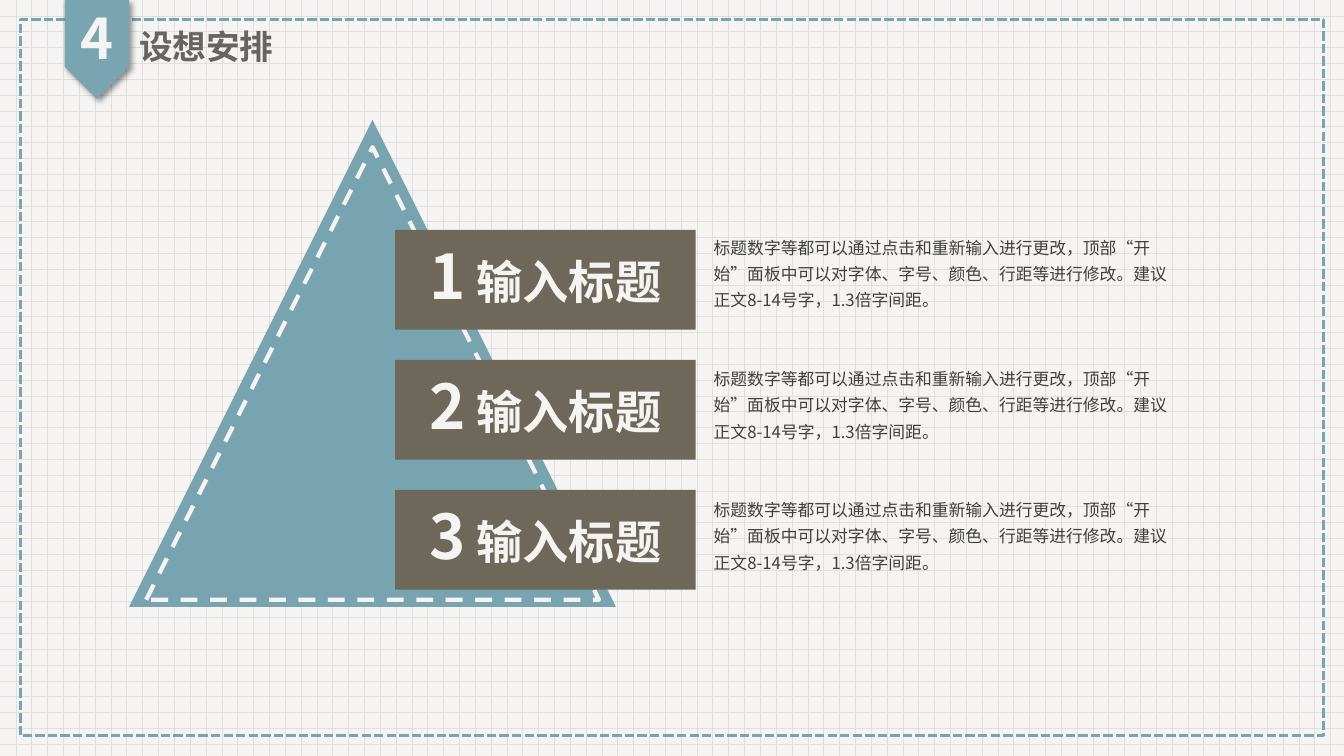
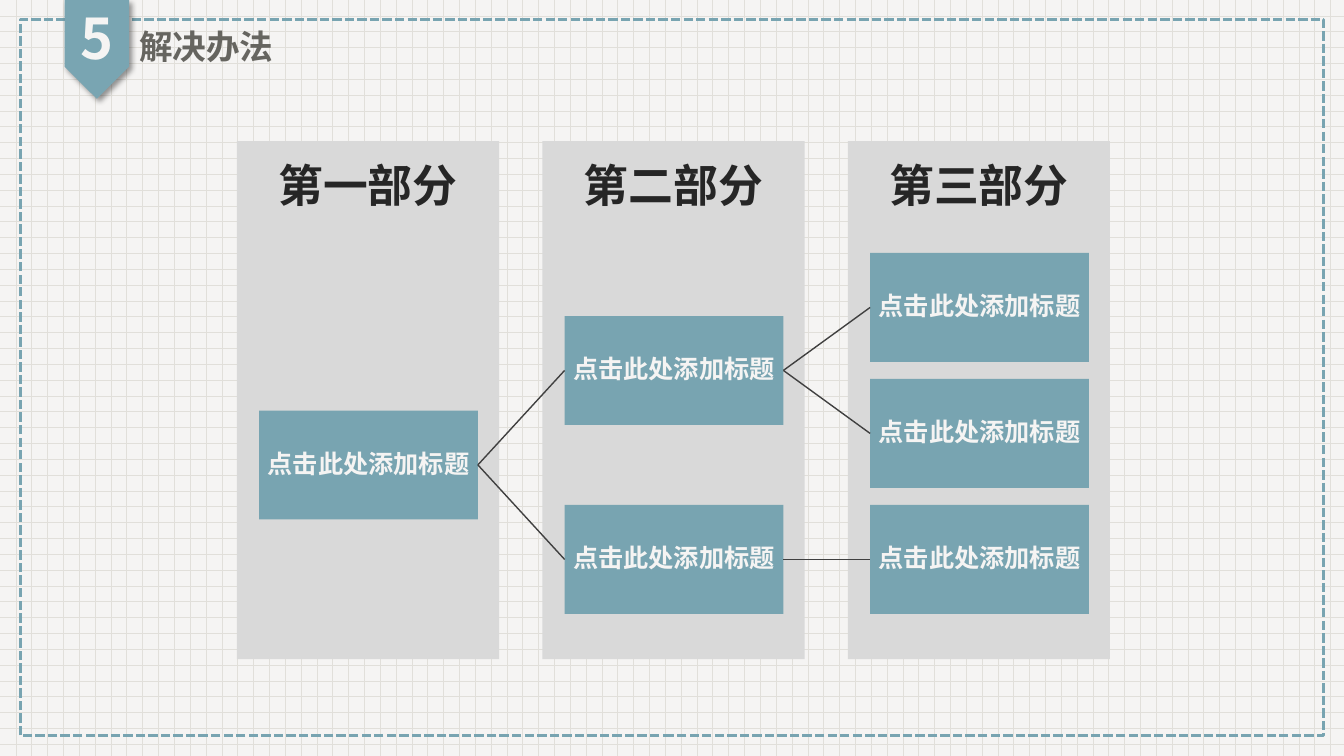
from dataclasses import dataclass
from typing import NamedTuple

from lxml import etree
from pptx import Presentation
from pptx.dml.color import RGBColor
from pptx.enum import dml, shapes, text
from pptx.oxml import ns
from pptx import util as u

FONT = "Noto Sans CJK SC"
PAPER = RGBColor(0xF5, 0xF4, 0xF3)
GRID = RGBColor(0xE1, 0xDF, 0xDA)
TEAL = RGBColor(0x78, 0xA4, 0xB1)
RIBBON = RGBColor(0x79, 0xA5, 0xB2)
BROWN = RGBColor(0x6E, 0x68, 0x5A)
PANEL = RGBColor(0xD9, 0xD9, 0xD9)
TITLE = RGBColor(0x66, 0x65, 0x60)
DARK = RGBColor(0x40, 0x40, 0x40)
HEADING = RGBColor(0x26, 0x26, 0x26)

KIND = shapes.MSO_SHAPE
ALIGN = text.PP_ALIGN
ANCHOR = text.MSO_ANCHOR
DASH = dml.MSO_LINE

CARD_COUNT = 3
CARD_NOTE = ("标题数字等都可以通过点击和重新输入进行更改，顶部“开始”面板中可以对字体、字号、"
             "颜色、行距等进行修改。建议正文8-14号字，1.3倍字间距。")
PARTS = ("第一部分", "第二部分", "第三部分")
PART_LEFT, PART_PITCH = 2.35, 3.03
STEP_LABEL = "点击此处添加标题"
STEP_INDENT, STEP_TOP, STEP_PITCH = 0.22, 2.51, 1.25


class Frame(NamedTuple):
    left: float
    top: float
    width: float
    height: float

    def lengths(self) -> tuple:
        return tuple(u.Inches(value) for value in self)


class Run(NamedTuple):
    words: str
    size: float


@dataclass(frozen=True)
class Outline:
    color: RGBColor
    width: float
    dash: DASH


@dataclass(frozen=True)
class Step:
    """A box of the tree with the boxes that follow from it."""
    children: tuple = ()


@dataclass(frozen=True)
class Placed:
    shape: object
    top: float


STEPS = Step((Step((Step(), Step())), Step((Step(),))))


def write(shape, *runs: Run, color, bold=True, align=ALIGN.CENTER, anchor=ANCHOR.MIDDLE,
          spacing=0.9, before=0, inset=None, wrap=True) -> None:
    """Fill a shape with one paragraph; runs share everything but their size."""
    box = shape.text_frame
    box.word_wrap = wrap
    box.vertical_anchor = anchor
    if inset is not None:
        box.margin_left = box.margin_right = u.Inches(inset)
        box.margin_top = box.margin_bottom = u.Inches(inset)
    para = box.paragraphs[0]
    para.alignment = align
    para.line_spacing = spacing
    para.space_before = u.Pt(before)
    for run in runs:
        span = para.add_run()
        span.text = run.words
        span.font.size = u.Pt(run.size)
        span.font.bold = bold
        span.font.color.rgb = color
        span.font.name = FONT
        east_asian = etree.SubElement(span._r.get_or_add_rPr(), ns.qn("a:ea"))
        east_asian.set("typeface", FONT)


def add_shape(parent, kind: KIND, frame: Frame, fill=None, outline: Outline | None = None):
    """Draw a preset shape on a page or in a group, without a shadow."""
    shape = parent.shapes.add_shape(kind, *frame.lengths())
    shape.shadow.inherit = False
    if fill is None:
        shape.fill.background()
    else:
        shape.fill.solid()
        shape.fill.fore_color.rgb = fill
    if outline is None:
        shape.line.fill.background()
    else:
        shape.line.color.rgb = outline.color
        shape.line.width = u.Pt(outline.width)
        shape.line.dash_style = outline.dash
    return shape


def add_text(page, frame: Frame, *runs: Run, **style):
    box = page.shapes.add_textbox(*frame.lengths())
    write(box, *runs, **style)
    return box


def add_drop_shadow(shape) -> None:
    effects = shape.element.spPr.find(ns.qn("a:effectLst"))
    shadow = etree.SubElement(effects, ns.qn("a:outerShdw"), blurRad=str(u.Pt(4)),
                              dist=str(u.Pt(3)), dir="2700000", algn="tl", rotWithShape="0")
    color = etree.SubElement(shadow, ns.qn("a:srgbClr"), val="000000")
    etree.SubElement(color, ns.qn("a:alpha"), val="40000")


def join(page, source, target) -> None:
    """Connect the right side of one box to the left side of another."""
    line = page.shapes.add_connector(shapes.MSO_CONNECTOR.STRAIGHT, 0, 0, 0, 0)
    line.begin_connect(source, 3)
    line.end_connect(target, 1)
    line.line.color.rgb = DARK
    line.line.width = u.Pt(1)
    etree.SubElement(line.element.spPr, ns.qn("a:effectLst"))


def style_layout(layout, page) -> None:
    """Give the layout its paper, border, ribbon and title place.

    Layouts cannot add shapes, so they are drawn on a page and moved over.
    """
    paper = layout.background.fill
    paper.patterned()
    paper.pattern = dml.MSO_PATTERN.DOTTED_GRID
    paper.fore_color.rgb = GRID
    paper.back_color.rgb = PAPER

    border = add_shape(page, KIND.RECTANGLE, Frame(0.2, 0.19, 12.93, 7.11),
                       outline=Outline(TEAL, 2.25, DASH.SQUARE_DOT))
    ribbon = add_shape(page, KIND.PENTAGON, Frame(0.47, 0.17, 0.98, 0.64), RIBBON)
    ribbon.rotation = 90
    add_drop_shadow(ribbon)
    for shape in (border, ribbon):
        layout.shapes.element.append(shape.element)

    title = layout.placeholders[0]
    title.left, title.top, title.width, title.height = Frame(1.28, 0.23, 4.6, 0.51).lengths()


def add_header(page, number: int, title: str) -> None:
    write(page.shapes.title, Run(title, 24), color=TITLE, align=ALIGN.LEFT, before=10)
    add_text(page, Frame(0.64, 0, 0.64, 0.82), Run(str(number), 40), color=PAPER, before=10)


def draw_plan(page) -> None:
    pyramid = page.shapes.add_group_shape()
    add_shape(pyramid, KIND.ISOSCELES_TRIANGLE, Frame(1.28, 1.19, 4.83, 4.83), TEAL)
    add_shape(pyramid, KIND.ISOSCELES_TRIANGLE, Frame(1.45, 1.46, 4.49, 4.49),
              outline=Outline(PAPER, 3, DASH.DASH))
    for index in range(CARD_COUNT):
        card = add_shape(page, KIND.RECTANGLE, Frame(3.92, 2.28 + 1.29 * index, 2.98, 0.99), BROWN)
        write(card, Run(str(index + 1), 44), Run(" 输入标题", 33), color=PAPER, inset=0.19)
        add_text(page, Frame(6.98, 2.25 + 1.3 * index, 4.82, 0.89), Run(CARD_NOTE, 12),
                 color=DARK, bold=False, align=ALIGN.LEFT, anchor=ANCHOR.TOP, spacing=1.3)


def draw_step(page, step: Step, column: int = 0, first_row: int = 0) -> tuple[Placed, int]:
    """Draw a box centred on its children; return it and the next free row."""
    children, row = [], first_row
    for child in step.children:
        placed, row = draw_step(page, child, column + 1, row)
        children.append(placed)
    if children:
        top = sum(child.top for child in children) / len(children)
    else:
        top, row = STEP_TOP + STEP_PITCH * first_row, first_row + 1
    left = PART_LEFT + STEP_INDENT + PART_PITCH * column
    box = add_shape(page, KIND.RECTANGLE, Frame(left, top, 2.17, 1.08), TEAL)
    write(box, Run(STEP_LABEL, 18), color=PAPER, inset=0.06)
    for child in children:
        join(page, box, child.shape)
    return Placed(box, top), row


def draw_solution(page) -> None:
    for index, part in enumerate(PARTS):
        left = PART_LEFT + PART_PITCH * index
        add_shape(page, KIND.RECTANGLE, Frame(left, 1.4, 2.6, 5.14), PANEL)
        add_text(page, Frame(left + 0.3, 1.52, 2, 0.64), Run(part, 32), color=HEADING,
                 anchor=ANCHOR.TOP, spacing=1.0, wrap=False)
    draw_step(page, STEPS)


def main() -> None:
    deck = Presentation()
    deck.slide_width, deck.slide_height = u.Inches(13.33), u.Inches(7.5)
    layout = deck.slide_layouts.get_by_name("Title Only")
    plan, solution = (deck.slides.add_slide(layout) for _ in range(2))
    style_layout(layout, plan)
    add_header(plan, 4, "设想安排")
    draw_plan(plan)
    add_header(solution, 5, "解决办法")
    draw_solution(solution)
    deck.save("out.pptx")


if __name__ == "__main__":
    main()
